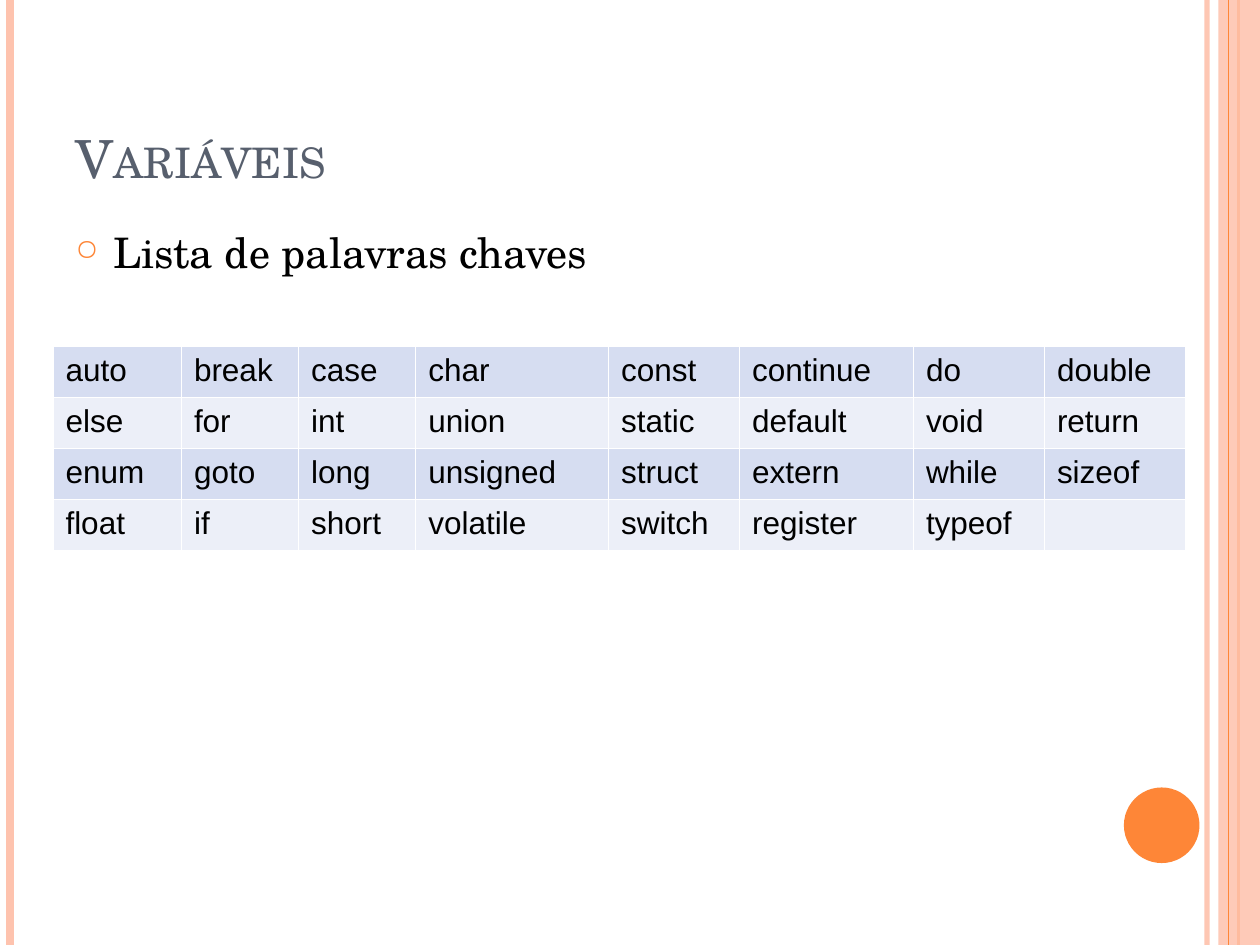
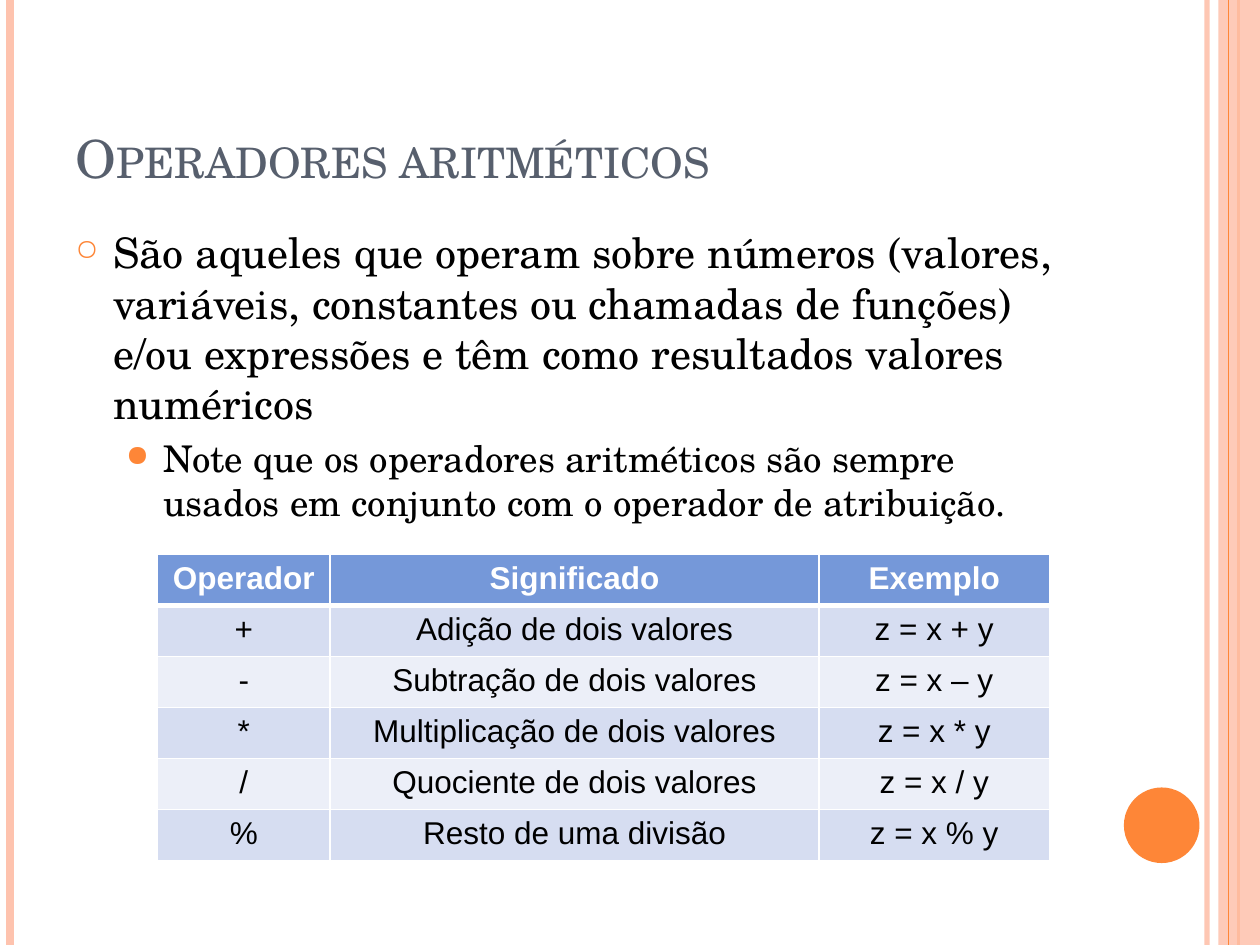
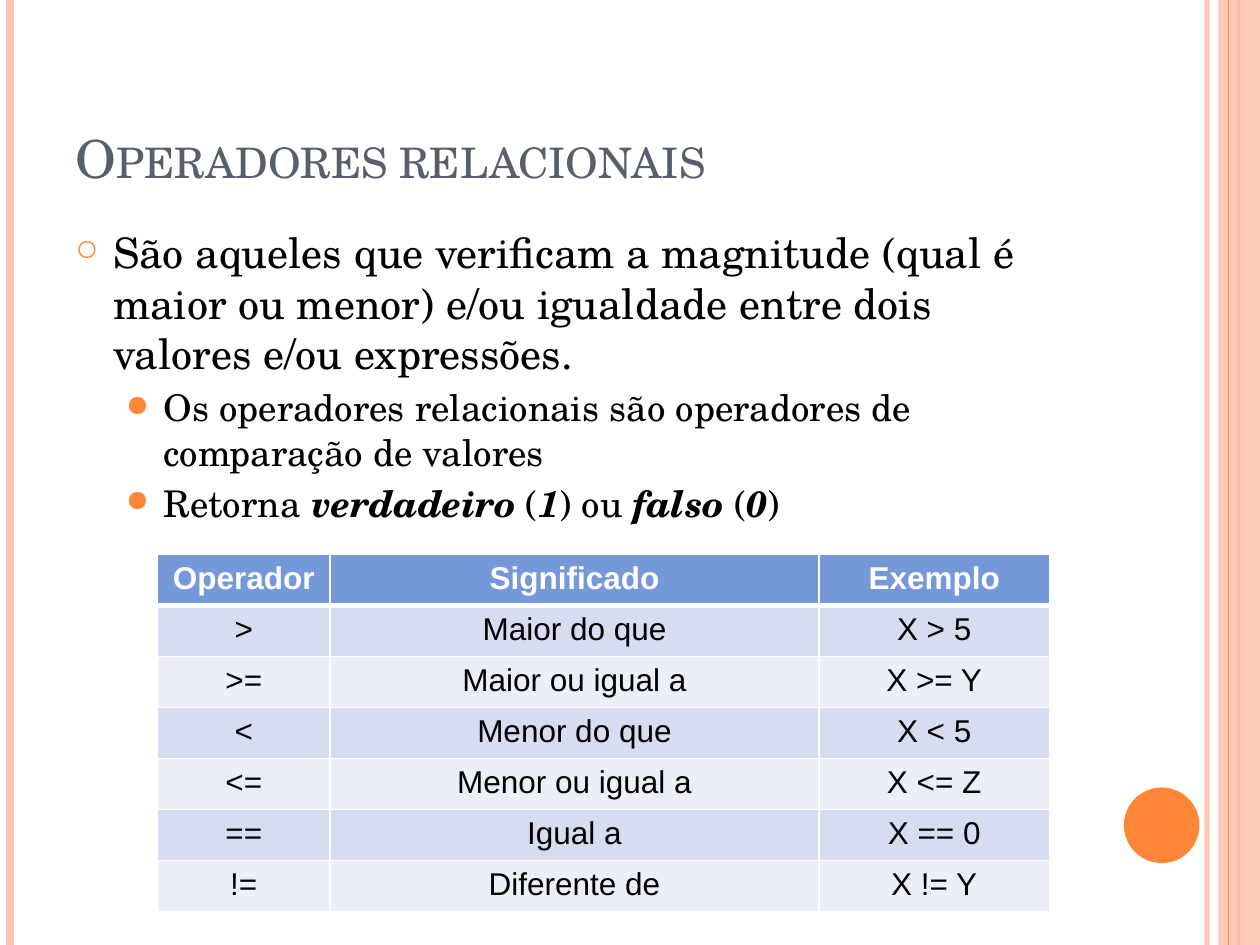
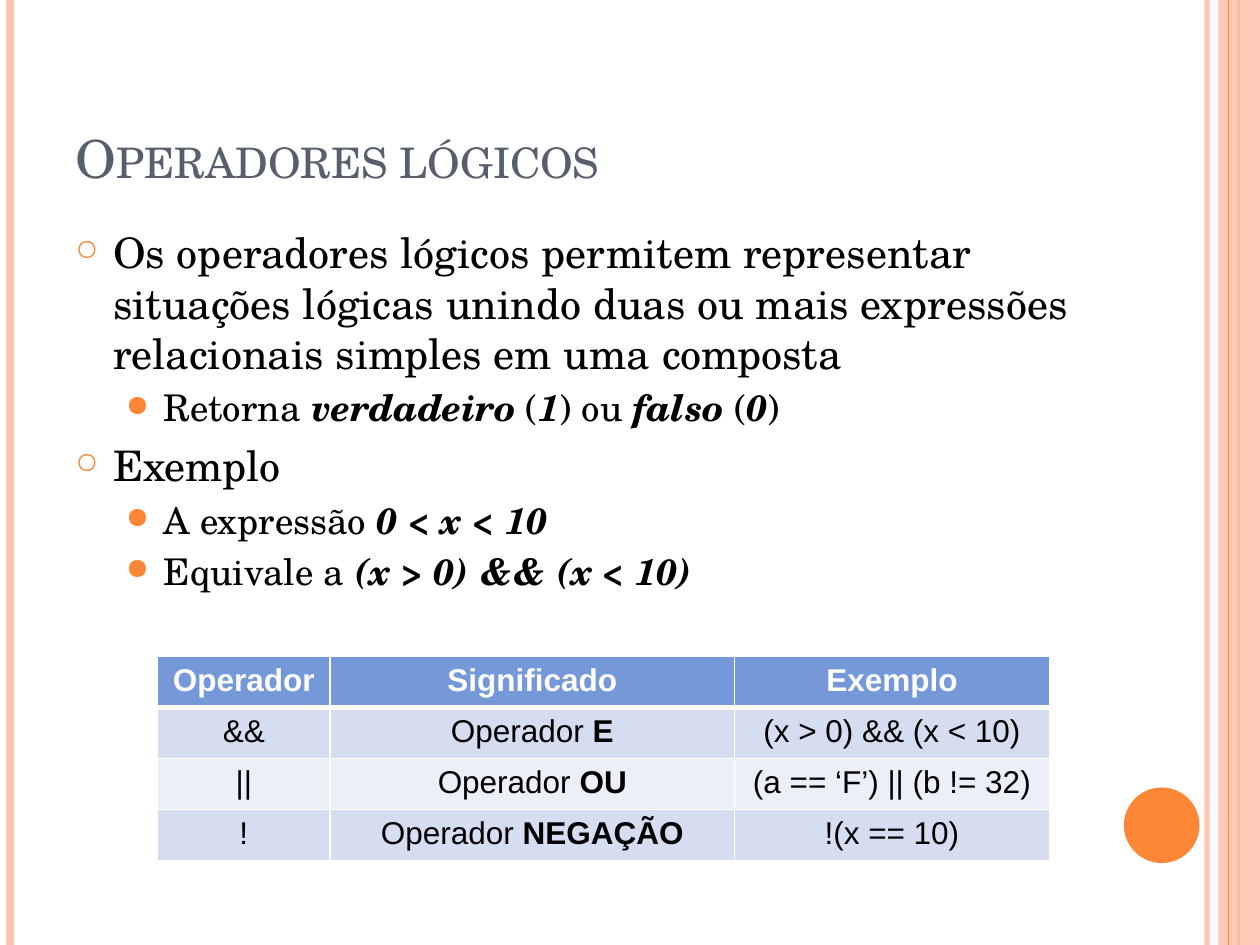
"""Build four slides on C keywords and operators."""
from lxml.etree import SubElement
from pptx import Presentation
from pptx.dml.color import RGBColor
from pptx.enum.shapes import MSO_CONNECTOR, MSO_SHAPE
from pptx.enum.text import MSO_ANCHOR, MSO_AUTO_SIZE, PP_ALIGN
from pptx.oxml.ns import qn
from pptx.util import Inches, Pt

ORANGE = RGBColor(0xFE, 0x86, 0x37)
PEACH = RGBColor(0xFE, 0xC3, 0xAE)
SLATE = RGBColor(0x57, 0x5F, 0x6D)
BLACK = RGBColor(0x00, 0x00, 0x00)
WHITE = RGBColor(0xFF, 0xFF, 0xFF)
HEADER_BLUE = RGBColor(0x75, 0x98, 0xD9)
ROW_BLUES = [RGBColor(0xD6, 0xDD, 0xF1), RGBColor(0xEC, 0xEF, 0xF8)]

SERIF, SANS = "TeX Gyre Schola", "Arial"
TITLE_AREA = (0.5, 0.3, 8.17, 1.25)
BODY_AREA = (0.5, 1.75, 8.17, 5.33)
ROW_HEIGHT = Inches(1.62) // 4

BANDS = [
    ("line", 9.58, PEACH, 3, 93),
    ("line", 0.08, PEACH, 4.5, 100),
    ("line", 9.83, ORANGE, 1.5, 100),
    (MSO_SHAPE.RECTANGLE, (9.67, 0, 0.33, 7.5), PEACH, 0, 87),
    ("line", 9.75, ORANGE, 0.75, 100),
    (MSO_SHAPE.OVAL, (8.92, 6.25, 0.6, 0.6), ORANGE, 0, 100),
]

LEVELS = [
    {"size": 24, "indent": 0.3, "before": 6, "bullet": "○", "scale": 70},
    {"size": 21, "indent": 0.7, "before": 4.2, "bullet": "●", "scale": 80},
]

HEADER = ("Operador", "Significado", "Exemplo")
RETURNS = ("Retorna ", "verdadeiro", " (", "1", ") ou ", "falso", " (", "0", ")")

# In a tuple of text parts, every second part is emphasised.
SLIDES = [
    {
        "title": "Variáveis",
        "body": [(0, ("Lista de palavras chaves",))],
        "at": (0.42, 2.75),
        "columns": [1.02, 0.93, 0.93, 1.53, 1.04, 1.38, 1.04, 1.12],
        "header": False,
        "rows": [
            ("auto", "break", "case", "char", "const", "continue", "do", "double"),
            ("else", "for", "int", "union", "static", "default", "void", "return"),
            ("enum", "goto", "long", "unsigned", "struct", "extern", "while", "sizeof"),
            ("float", "if", "short", "volatile", "switch", "register", "typeof", ""),
        ],
    },
    {
        "title": "Operadores aritméticos",
        "body": [
            (0, ("São aqueles que operam sobre números (valores, variáveis, constantes ou "
                 "chamadas de funções) e/ou expressões e têm como resultados valores numéricos",)),
            (1, ("Note que os operadores aritméticos são sempre usados em conjunto com o "
                 "operador de atribuição.",)),
        ],
        "at": (1.25, 4.4),
        "columns": [1.37, 3.88, 1.83],
        "header": True,
        "rows": [
            HEADER,
            ("+", "Adição de dois valores", "z = x + y"),
            ("-", "Subtração de dois valores", "z = x – y"),
            ("*", "Multiplicação de dois valores", "z = x * y"),
            ("/", "Quociente de dois valores", "z = x / y"),
            ("%", "Resto de uma divisão", "z = x % y"),
        ],
    },
    {
        "title": "Operadores relacionais",
        "body": [
            (0, ("São aqueles que verificam a magnitude (qual é maior ou menor) e/ou "
                 "igualdade entre dois valores e/ou expressões.",)),
            (1, ("Os operadores relacionais são operadores de comparação de valores",)),
            (1, RETURNS),
        ],
        "at": (1.25, 4.4),
        "columns": [1.37, 3.88, 1.83],
        "header": True,
        "rows": [
            HEADER,
            (">", "Maior do que", "X > 5"),
            (">=", "Maior ou igual a", "X >= Y"),
            ("<", "Menor do que", "X < 5"),
            ("<=", "Menor ou igual a", "X <= Z"),
            ("==", "Igual a", "X == 0"),
            ("!=", "Diferente de", "X != Y"),
        ],
    },
    {
        "title": "Operadores lógicos",
        "body": [
            (0, ("Os operadores lógicos permitem representar situações lógicas unindo duas "
                 "ou mais expressões relacionais simples em uma composta",)),
            (1, RETURNS),
            (0, ("Exemplo",)),
            (1, ("A expressão ", "0 < x < 10")),
            (1, ("Equivale a ", "(x > 0) && (x < 10)")),
        ],
        "at": (1.25, 5.21),
        "columns": [1.37, 3.21, 2.5],
        "header": True,
        "rows": [
            HEADER,
            ("&&", ("Operador ", "E"), "(x > 0) && (x < 10)"),
            ("||", ("Operador ", "OU"), "(a == ‘F’) || (b != 32)"),
            ("!", ("Operador ", "NEGAÇÃO"), "!(x == 10)"),
        ],
    },
]


def set_all(target, values):
    for name, value in values.items():
        setattr(target, name, value)


def add_span(para, text, size, font, color, **styles):
    span = para.add_run()
    span.text = text
    set_all(span.font, {"size": Pt(size), "name": font, **styles})
    span.font.color.rgb = color
    return span


def add_bands(page):
    for kind, place, color, width, opacity in BANDS:
        if kind == "line":
            band = page.shapes.add_connector(
                MSO_CONNECTOR.STRAIGHT, Inches(place), 0, Inches(place), Inches(7.5))
            band.line.width = Pt(width)
            paint = band.line.fill
            paint.solid()
            paint.fore_color.rgb = color
            SubElement(band.element.spPr, qn("a:effectLst"))
        else:
            band = page.shapes.add_shape(kind, *map(Inches, place))
            band.shadow.inherit = False
            band.line.fill.background()
            paint = band.fill
            paint.solid()
            paint.fore_color.rgb = color
        if opacity < 100:
            tint = next(band.element.spPr.iter(qn("a:srgbClr")))
            SubElement(tint, qn("a:alpha"), val=str(opacity * 1000))


def add_title(page, text):
    title = page.shapes.title
    set_all(title, dict(zip(("left", "top", "width", "height"), map(Inches, TITLE_AREA))))
    set_all(title.text_frame, {"vertical_anchor": MSO_ANCHOR.BOTTOM, "word_wrap": True,
                               "auto_size": MSO_AUTO_SIZE.NONE})
    para = title.text_frame.paragraphs[0]
    para.alignment = PP_ALIGN.LEFT
    span = add_span(para, text, 30, SERIF, SLATE)
    span.font._element.set("cap", "small")


def add_bullet(para, level):
    props = para._p.get_or_add_pPr()
    props.set("marL", str(Inches(level["indent"])))
    props.set("indent", str(-Inches(0.3)))
    color = SubElement(props, qn("a:buClr"))
    SubElement(color, qn("a:srgbClr"), val=str(ORANGE))
    SubElement(props, qn("a:buSzPct"), val=str(level["scale"] * 1000))
    SubElement(props, qn("a:buChar"), char=level["bullet"])


def add_body(page, items):
    frame = page.shapes.add_textbox(*map(Inches, BODY_AREA)).text_frame
    frame.word_wrap = True
    for index, (depth, parts) in enumerate(items):
        para = frame.add_paragraph() if index else frame.paragraphs[0]
        level = LEVELS[depth]
        set_all(para, {"level": depth, "space_before": Pt(level["before"])})
        add_bullet(para, level)
        for number, text in enumerate(parts):
            strong = number % 2 == 1
            add_span(para, text, level["size"], SERIF, BLACK, bold=strong, italic=strong)


def add_borders(cell, bottom):
    props = cell._tc.get_or_add_tcPr()
    for side, width in (("L", 1), ("R", 1), ("T", 1), ("B", bottom)):
        edge = SubElement(props, qn(f"a:ln{side}"), w=str(Pt(width)))
        paint = SubElement(edge, qn("a:solidFill"))
        SubElement(paint, qn("a:srgbClr"), val=str(WHITE))


def add_grid(page, content):
    rows, columns, header = content["rows"], content["columns"], content["header"]
    left, top = map(Inches, content["at"])
    table = page.shapes.add_table(len(rows), len(columns), left, top,
                                  Inches(sum(columns)), ROW_HEIGHT * len(rows)).table
    set_all(table, {"first_row": header, "horz_banding": False})
    for column, width in zip(table.columns, columns):
        column.width = Inches(width)
    for y, row in enumerate(rows):
        heading = header and y == 0
        for x, value in enumerate(row):
            cell = table.cell(y, x)
            add_borders(cell, 3 if heading else 1)
            cell.fill.solid()
            cell.fill.fore_color.rgb = HEADER_BLUE if heading else ROW_BLUES[(y - header) % 2]
            para = cell.text_frame.paragraphs[0]
            para.alignment = PP_ALIGN.CENTER if header else PP_ALIGN.LEFT
            parts = (value,) if isinstance(value, str) else value
            for number, text in enumerate(filter(None, parts)):
                add_span(para, text, 18, SANS, WHITE if heading else BLACK,
                         bold=heading or number == 1)


def move_to_layout(page, layout):
    tree = layout.shapes.element
    bands = [shape for shape in page.shapes if not shape.is_placeholder]
    for index, band in enumerate(bands):
        next(band.element.iter(qn("p:cNvPr"))).set("id", str(100 + index))
        tree.insert(2 + index, band.element)


def main():
    deck = Presentation()
    set_all(deck, {"slide_width": Inches(10), "slide_height": Inches(7.5)})
    layout = deck.slide_layouts[5]
    for index, content in enumerate(SLIDES):
        page = deck.slides.add_slide(layout)
        if index == 0:
            add_bands(page)
            move_to_layout(page, layout)
        add_title(page, content["title"])
        add_body(page, content["body"])
        add_grid(page, content)
    deck.save("out.pptx")


if __name__ == "__main__":
    main()
